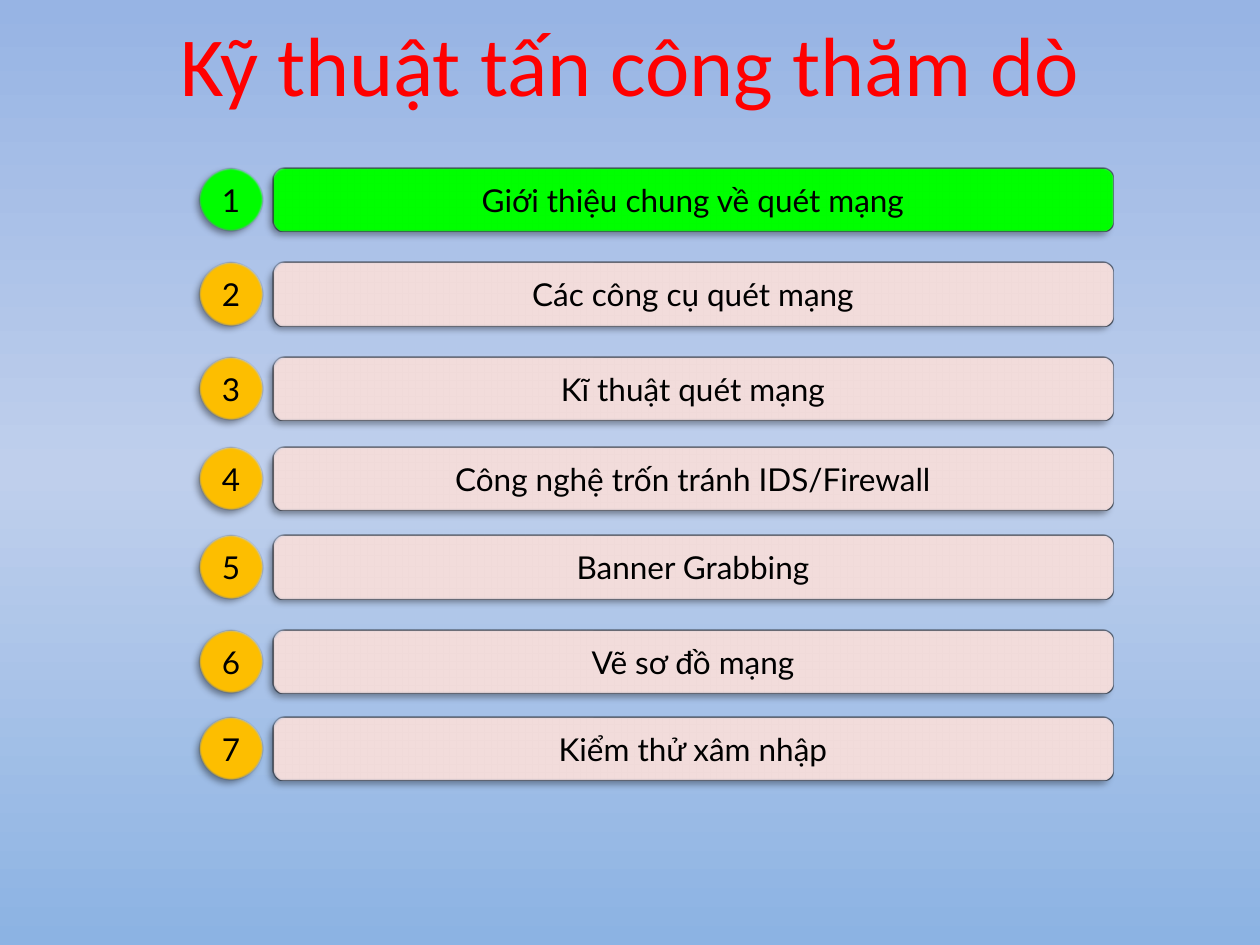
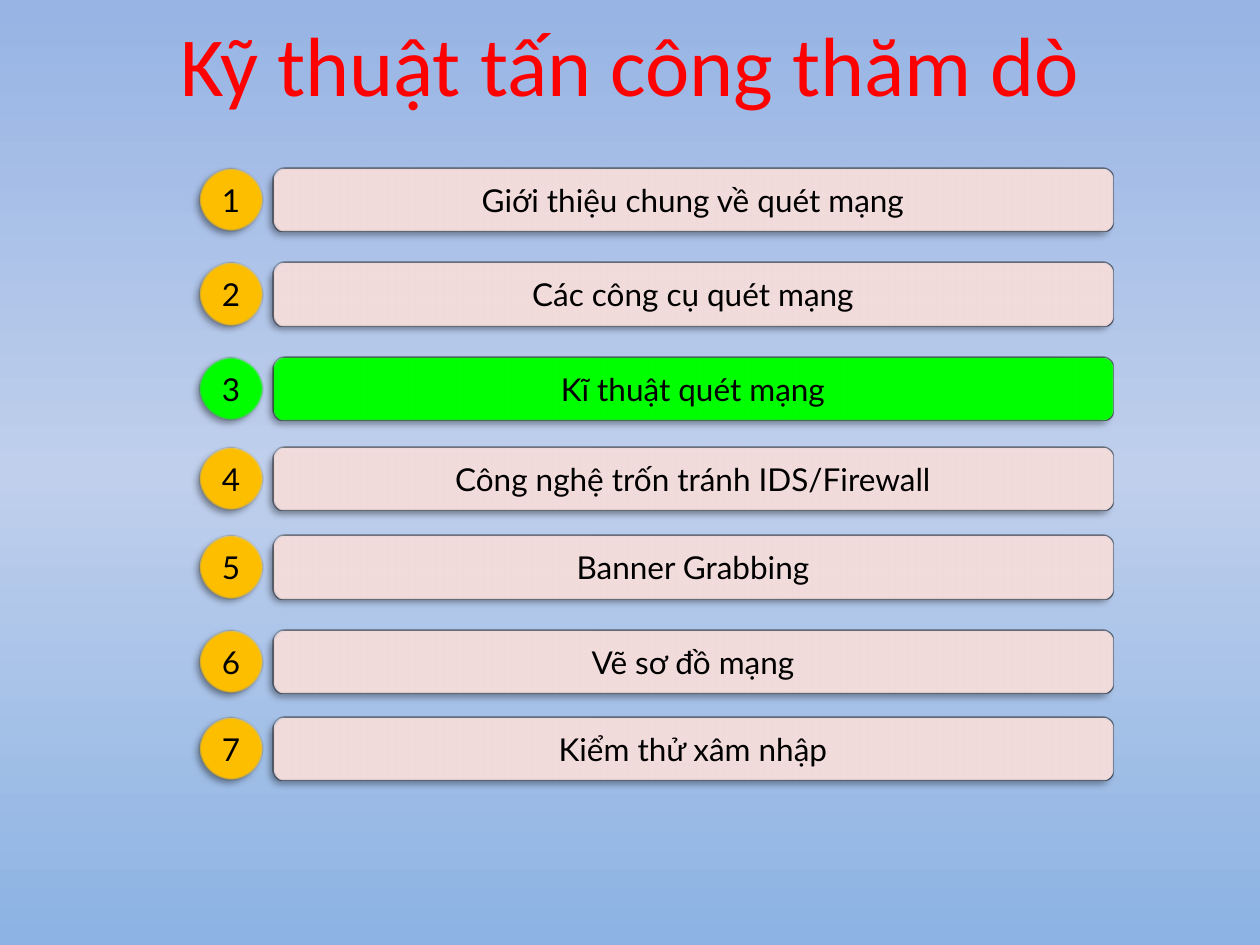
from copy import deepcopy

from lxml.etree import SubElement
from pptx import Presentation
from pptx.dml.color import RGBColor
from pptx.enum.shapes import MSO_SHAPE as SHAPE
from pptx.enum.text import MSO_ANCHOR as ANCHOR, MSO_AUTO_SIZE as AUTO_SIZE, PP_ALIGN as ALIGN
from pptx.oxml.ns import qn
from pptx.util import Pt

BLACK = RGBColor(0x00, 0x00, 0x00)
RED = RGBColor(0xFF, 0x00, 0x00)
GREEN = RGBColor(0x00, 0xFF, 0x00)
AMBER = RGBColor(0xFF, 0xC0, 0x00)
PINK = RGBColor(0xF2, 0xDC, 0xDB)
SKY = [RGBColor(0x97, 0xB4, 0xE4), RGBColor(0xBF, 0xCF, 0xEC), RGBColor(0x8C, 0xB3, 0xE3)]

TITLE = "Kỹ thuật tấn công thăm dò"
# Each topic with the top of its row, in points
TOPICS = [
    ("Giới thiệu chung về quét mạng", 96),
    ("Các công cụ quét mạng", 150),
    ("Kĩ thuật quét mạng", 204),
    ("Công nghệ trốn tránh IDS/Firewall", 255.6),
    ("Banner Grabbing", 306),
    ("Vẽ sơ đồ mạng", 360),
    ("Kiểm thử xâm nhập", 409.7),
]
ROW_HEIGHT = 36
BADGE_LEFT = 114
BAR_LEFT, BAR_WIDTH = 156, 480


def set_background(master):
    """Give the master a three-colour gradient from top to bottom."""
    fill = master.background.fill
    fill.gradient()
    fill.gradient_angle = 270
    stop_list = master.element.find(".//" + qn("a:gsLst"))
    stop_list.append(deepcopy(stop_list[-1]))
    for i, (stop, color) in enumerate(zip(fill.gradient_stops, SKY)):
        stop.position = i / 2
        stop.color.rgb = color


def add_effects(sp):
    """Add a shadow at the lower left and a slightly soft edge."""
    sp.shadow.inherit = False
    effects = sp._element.spPr.find(qn("a:effectLst"))
    shadow = SubElement(effects, qn("a:outerShdw"), blurRad=str(Pt(4)), dist=str(Pt(3)),
                        dir="8100000", algn="tr", rotWithShape="0")
    color = SubElement(shadow, qn("a:srgbClr"), val=str(BLACK))
    SubElement(color, qn("a:alpha"), val="40000")
    SubElement(effects, qn("a:softEdge"), rad=str(Pt(1)))


def format_text(tf, text, size, font, color):
    tf.text = text
    p = tf.paragraphs[0]
    p.alignment = ALIGN.CENTER
    p.font.size = Pt(size)
    p.font.name = font
    p.font.color.rgb = color


def add_title(slide):
    title = slide.shapes.title
    title.left, title.top, title.width, title.height = Pt(0), Pt(3.6), Pt(720), Pt(65.5)
    tf = title.text_frame
    tf.vertical_anchor = ANCHOR.TOP
    tf.auto_size = AUTO_SIZE.SHAPE_TO_FIT_TEXT
    format_text(tf, TITLE, 48, "Calibri", RED)


def add_label(slide, kind, left, top, width, text, color):
    sp = slide.shapes.add_shape(kind, Pt(left), Pt(top), Pt(width), Pt(ROW_HEIGHT))
    sp.fill.solid()
    sp.fill.fore_color.rgb = color
    sp.line.color.rgb = BLACK
    sp.line.width = Pt(0)
    add_effects(sp)
    tf = sp.text_frame
    tf.margin_left = tf.margin_right = 0
    tf.vertical_anchor = ANCHOR.MIDDLE
    format_text(tf, text, 18, "Lato", BLACK)


def add_agenda_slide(prs, current):
    """Add the list of topics with the current one in green."""
    slide = prs.slides.add_slide(prs.slide_layouts.get_by_name("Title Only"))
    add_title(slide)
    for number, (topic, top) in enumerate(TOPICS, start=1):
        badge_color, bar_color = (GREEN, GREEN) if number == current else (AMBER, PINK)
        add_label(slide, SHAPE.OVAL, BADGE_LEFT, top, ROW_HEIGHT, str(number), badge_color)
        add_label(slide, SHAPE.ROUNDED_RECTANGLE, BAR_LEFT, top, BAR_WIDTH, topic, bar_color)


def main():
    prs = Presentation()
    prs.slide_width, prs.slide_height = Pt(720), Pt(540)
    set_background(prs.slide_master)
    for current in (1, 3):
        add_agenda_slide(prs, current)
    prs.save("out.pptx")


if __name__ == "__main__":
    main()
